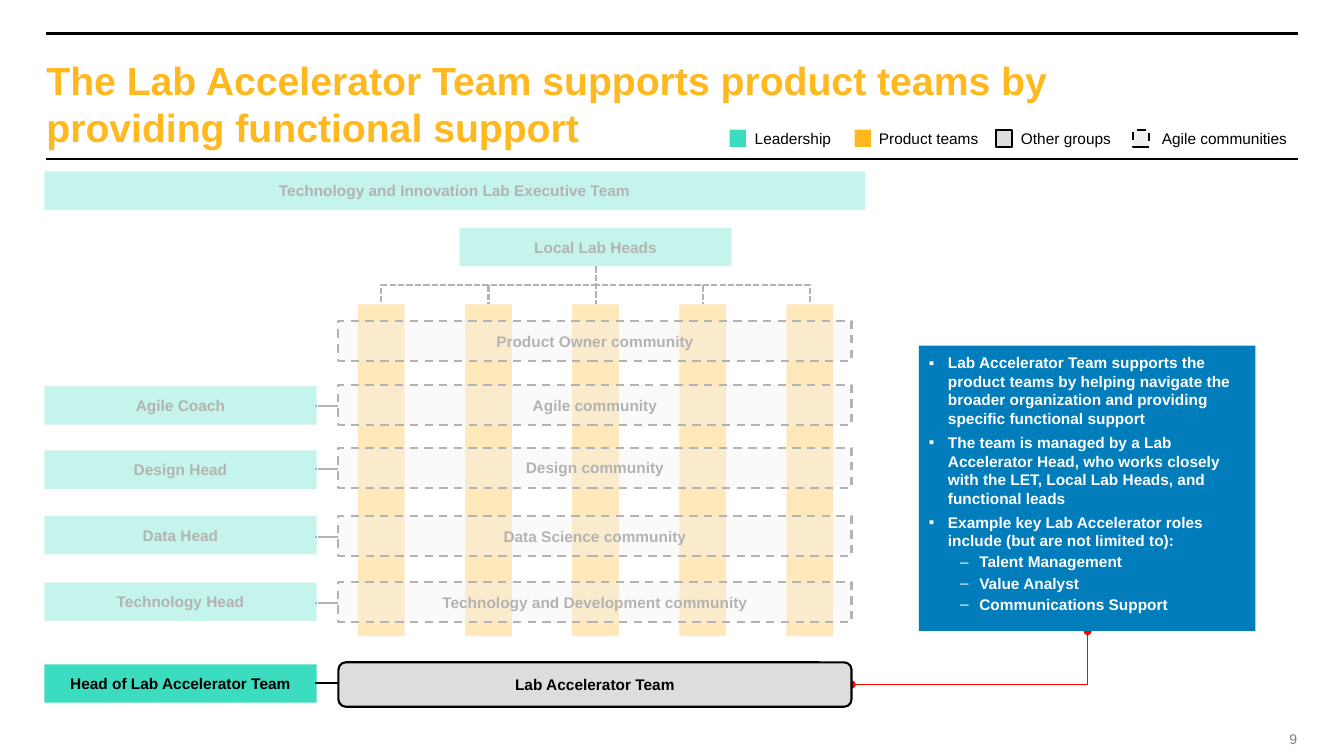
from lxml.etree import SubElement
from pptx import Presentation
from pptx.dml.color import RGBColor
from pptx.enum.dml import MSO_LINE
from pptx.enum.shapes import MSO_CONNECTOR as CONN, MSO_SHAPE as SHAPE
from pptx.enum.text import MSO_ANCHOR as ANCHOR, PP_ALIGN as ALIGN
from pptx.oxml.ns import qn
from pptx.util import Cm, Pt

FONT = "Arial"
COLORS = {
    "leadership": "3CDCC0", "product": "FFB81E", "group": "DDDDDD",
    "community": "D0D0D0", "panel": "017DBB", "callout": "FF0000",
    "black": "000000", "white": "FFFFFF", "gray": "7F7F7F",
}
HEAD_X, HEAD_W, HEAD_H = 1.12, 6.86, 0.97
TEAM_X, TEAM_W = 8.53, 12.93
COMMUNITY_H = 1.02
BAR_X, BAR_Y, BAR_W, BAR_H, BAR_PITCH = 9.02, 7.67, 1.18, 8.36, 2.7

# community, its top, its head, the head's top
COMMUNITIES = [
    ("Product Owner community", 8.08, None, None),
    ("Agile community", 9.7, "Agile Coach", 9.73),
    ("Design community", 11.28, "Design Head", 11.35),
    ("Data Science community", 13.0, "Data Head", 13.0),
    ("Technology and Development community", 14.66, "Technology Head", 14.68),
]
NOTES = [
    (0, "Lab Accelerator Team supports the product teams by helping navigate the "
        "broader organization and providing specific functional support"),
    (0, "The team is managed by a Lab Accelerator Head, who works closely with "
        "the LET, Local Lab Heads, and functional leads"),
    (0, "Example key Lab Accelerator roles include (but are not limited to):"),
    (1, "Talent Management"),
    (1, "Value Analyst"),
    (1, "Communications Support"),
]
# swatch left, label left, label, look of the swatch
LEGEND = [
    (18.39, 18.77, "Leadership", {"fill": "leadership"}),
    (21.54, 21.9, "Product teams", {"fill": "product"}),
    (25.1, 25.48, "Other groups", {"fill": "group", "line": "black"}),
    (28.55, 29.03, "Agile communities",
     {"fill": "community", "alpha": 33, "line": "black", "dash": MSO_LINE.DASH}),
]


def rgb(name):
    """Return the named colour."""
    return RGBColor.from_string(COLORS[name])


def style_text(p, size, color, bold=False):
    """Format every run of a paragraph."""
    for r in p.runs:
        r.font.name, r.font.size, r.font.bold = FONT, Pt(size), bold
        r.font.color.rgb = rgb(color)


def set_margins(tf, x, y):
    """Set the side and the top and bottom insets in cm."""
    tf.margin_left = tf.margin_right = Cm(x)
    tf.margin_top = tf.margin_bottom = Cm(y)


def add_box(s, x, y, w, h, fill, text="", alpha=None, line=None, weight=1.5,
            dash=None, kind=SHAPE.RECTANGLE):
    """Add a filled shape, with centred bold text if given."""
    sp = s.shapes.add_shape(kind, Cm(x), Cm(y), Cm(w), Cm(h))
    sp.shadow.inherit = False
    sp.fill.solid()
    sp.fill.fore_color.rgb = rgb(fill)
    if alpha is not None:
        clr = sp._element.spPr.find(qn("a:solidFill"))[0]
        SubElement(clr, qn("a:alpha")).set("val", str(alpha * 1000))
    if line:
        sp.line.color.rgb, sp.line.width = rgb(line), Pt(weight)
        if dash:
            sp.line.dash_style = dash
    else:
        sp.line.fill.background()
    if text:
        tf = sp.text_frame
        tf.text, tf.word_wrap, tf.vertical_anchor = text, True, ANCHOR.MIDDLE
        set_margins(tf, 0.1, 0.1)
        p = tf.paragraphs[0]
        p.alignment = ALIGN.CENTER
        style_text(p, 11, "black", True)
    return sp


def add_label(s, x, y, w, h, text, size, color, bold=False, inset=(0, 0),
              align=ALIGN.LEFT):
    """Add a text box."""
    tf = s.shapes.add_textbox(Cm(x), Cm(y), Cm(w), Cm(h)).text_frame
    tf.text, tf.word_wrap = text, True
    set_margins(tf, *inset)
    tf.paragraphs[0].alignment = align
    style_text(tf.paragraphs[0], size, color, bold)


def add_line(s, x1, y1, x2, y2, weight=1.5, color="black", kind=CONN.STRAIGHT):
    """Add a connector without a shadow."""
    c = s.shapes.add_connector(kind, Cm(x1), Cm(y1), Cm(x2), Cm(y2))
    c.line.color.rgb, c.line.width = rgb(color), Pt(weight)
    SubElement(c._element.spPr, qn("a:effectLst"))
    return c


def add_branch(s, x1, y1, x2, y2):
    """Add a dashed elbow that leaves downwards and arrives downwards."""
    cx, cy = (x1 + x2) / 2, (y1 + y2) / 2
    half_w, half_h = (y2 - y1) / 2, abs(x2 - x1) / 2
    rot = 90
    if x2 > x1:
        rot, half_w = 270, -half_w
    c = add_line(s, cx - half_w, cy - half_h, cx + half_w, cy + half_h,
                 kind=CONN.ELBOW)
    c._element.spPr.find(qn("a:xfrm")).set("rot", str(rot * 60000))
    c.line.dash_style = MSO_LINE.SQUARE_DOT


def add_callout_line(s, x1, y1, x2, y2):
    """Add a one-corner connector with round ends."""
    c = add_line(s, x1, y1, x2, y2, 0.75, "callout", CONN.ELBOW)
    c._element.spPr.find(qn("a:prstGeom")).set("prst", "bentConnector2")
    ln = c.line._get_or_add_ln()
    for end in ("a:headEnd", "a:tailEnd"):
        SubElement(ln, qn(end)).set("type", "oval")


def add_notes_panel(s):
    """Add the blue panel with its two-level bullets."""
    tf = add_box(s, 23.16, 8.71, 8.48, 7.19, "panel").text_frame
    tf.word_wrap, tf.vertical_anchor = True, ANCHOR.TOP
    set_margins(tf, 0.25, 0.2)
    for i, (level, text) in enumerate(NOTES):
        p = tf.add_paragraph() if i else tf.paragraphs[0]
        p.text, p.level, p.alignment = text, level, ALIGN.LEFT
        p.space_before = Pt((4, 2)[level])
        style_text(p, 11, "white", True)
        pPr = p._p.get_or_add_pPr()
        pPr.set("marL", str(Cm((0.48, 1.27)[level])))
        pPr.set("indent", str(-Cm(0.48)))
        SubElement(pPr, qn("a:buFont")).set("typeface", FONT)
        SubElement(pPr, qn("a:buChar")).set("char", "▪–"[level])


def add_organization(s):
    """Add the leaders, product teams, communities and their links."""
    add_callout_line(s, TEAM_X + TEAM_W, 17.25, 27.41, 15.9)
    add_box(s, HEAD_X, 16.74, HEAD_W, HEAD_H, "leadership",
            "Head of Lab Accelerator Team")
    add_box(s, TEAM_X, 16.69, TEAM_W, 1.12, "group", "Lab Accelerator Team",
            line="black", kind=SHAPE.ROUNDED_RECTANGLE)
    add_box(s, HEAD_X, 4.32, 20.68, HEAD_H, "leadership",
            "Technology and Innovation Lab Executive Team")
    bars = [BAR_X + i * BAR_PITCH for i in range(5)]
    for x in bars:
        add_box(s, x, BAR_Y, BAR_W, BAR_H, "product")
    mid = bars[2] + BAR_W / 2
    add_box(s, mid - HEAD_W / 2, 5.74, HEAD_W, HEAD_H, "leadership",
            "Local Lab Heads")
    for name, y, _, _ in COMMUNITIES:
        add_box(s, TEAM_X, y, TEAM_W, COMMUNITY_H, "community", name, alpha=33,
                line="black", dash=MSO_LINE.DASH)
    for x in bars:
        add_branch(s, mid, 5.74 + HEAD_H, x + BAR_W / 2, BAR_Y)
    for _, y, head, head_y in COMMUNITIES[1:]:
        add_box(s, HEAD_X, head_y, HEAD_W, HEAD_H, "leadership", head)
        add_line(s, 7.95, y + 0.53, TEAM_X, y + 0.53)
    add_line(s, 7.95, 17.22, TEAM_X, 17.22)


def main():
    """Build and save the slide."""
    prs = Presentation()
    prs.slide_width, prs.slide_height = Cm(33.87), Cm(19.05)
    s = prs.slides.add_slide(prs.slide_layouts[6])
    add_label(s, 31.69, 18.42, 1, 0.43, "9", 10, "gray", align=ALIGN.RIGHT)
    for y, weight in ((0.84, 2.5), (4.01, 1)):
        add_line(s, 32.72, y, 1.17, y, weight)
    add_label(s, 1.17, 1.42, 27.46, 2.39, "The Lab Accelerator Team supports "
              "product teams by providing functional support", 28, "product", True)
    add_organization(s)
    for veil in ((0.56, 9.25, 7.44, 7.16), (8, 5.44, 15.14, 10.64),
                 (0.36, 4.11, 22.78, 1.24)):
        add_box(s, *veil, "white", alpha=70, line="white", weight=0.75)
    add_notes_panel(s)
    for x, label_x, text, look in LEGEND:
        add_box(s, x, 3.27, 0.41, 0.43, **look)
        add_label(s, label_x, 3.12, 3.9, 0.74, text, 11, "black",
                  inset=(0.25, 0.13))
    prs.save("out.pptx")


main()
